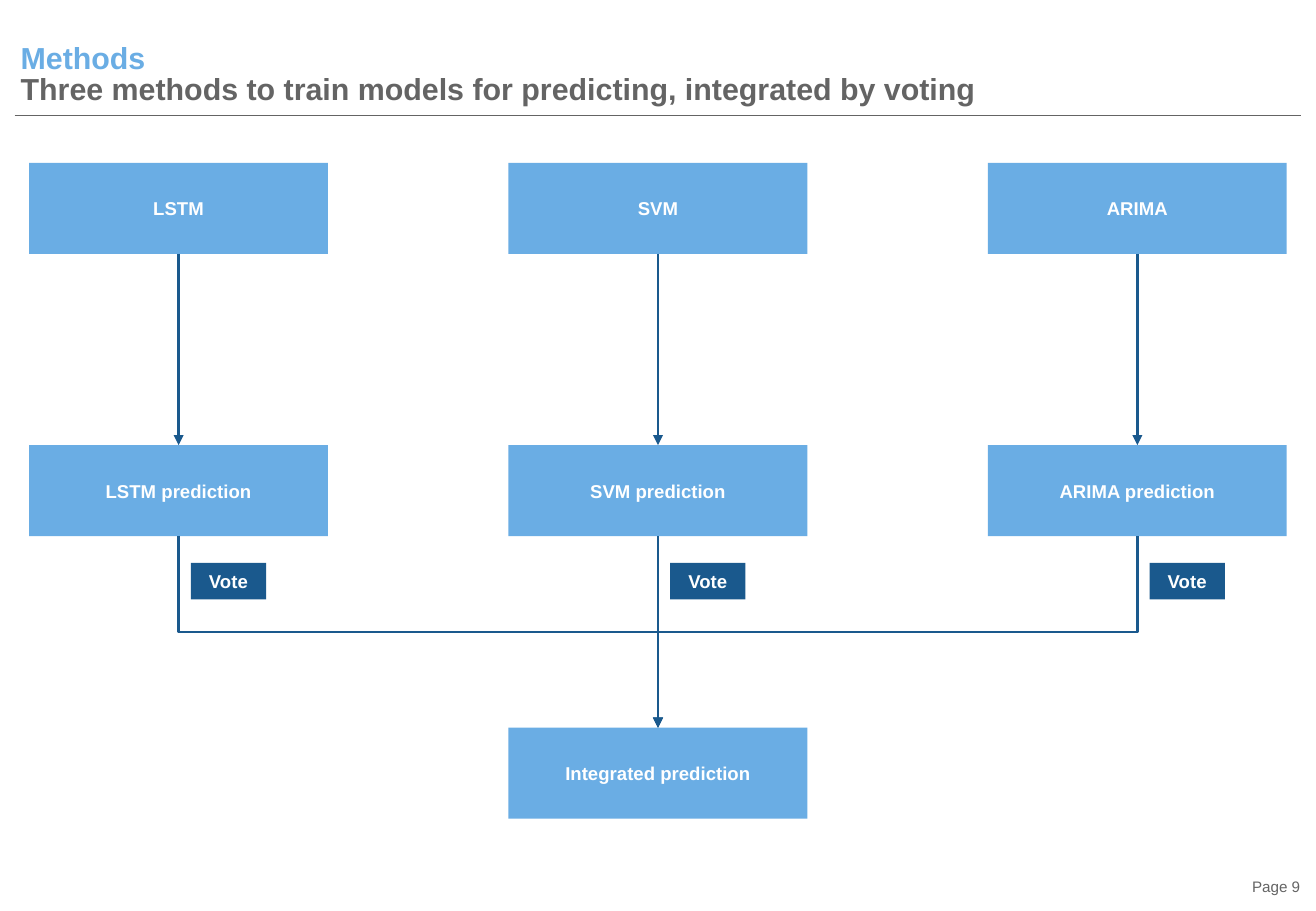
from lxml import etree
from pptx import Presentation
from pptx.dml.color import RGBColor
from pptx.enum import shapes, text
from pptx.oxml import ns
from pptx.util import Inches, Pt

# Content
HEADING = ("Methods", "Three methods to train models for predicting, integrated by voting")
METHODS = ["LSTM", "SVM", "ARIMA"]
RESULT = "Integrated prediction"
VOTE = "Vote"
PAGE = "Page 9"

FONT = "Arial"
SKY = RGBColor(0x6A, 0xAD, 0xE4)
NAVY = RGBColor(0x1A, 0x59, 0x8D)
GREY = RGBColor(0x64, 0x64, 0x64)
WHITE = RGBColor(0xFF, 0xFF, 0xFF)

# Grid, in inches
WIDTH, HEIGHT = 10.83, 7.5
LEFT, TOP = 0.24, 1.34
COLUMN, ROW = 3.945, 2.325
BOX_W, BOX_H = 2.46, 0.75
VOTE_W, VOTE_H = 0.62, 0.3
VOTE_DX, VOTE_DY = 0.1, 0.22
MARGIN = 0.12

deck = Presentation()
deck.slide_width, deck.slide_height = Inches(WIDTH), Inches(HEIGHT)
slide = deck.slides.add_slide(deck.slide_layouts[5])


def style(paragraph, size, color, bold, align):
    paragraph.alignment = align
    font = paragraph.font
    font.name, font.size, font.bold = FONT, Pt(size), bold
    font.color.rgb = color


def set_frame(frame, anchor, left=0, top=0, right=0, bottom=0):
    frame.word_wrap = True
    frame.auto_size = text.MSO_AUTO_SIZE.NONE
    frame.vertical_anchor = anchor
    frame.margin_left, frame.margin_top = Inches(left), Inches(top)
    frame.margin_right, frame.margin_bottom = Inches(right), Inches(bottom)


def add_box(label, x, y, w, h, fill, inset):
    box = slide.shapes.add_shape(shapes.MSO_SHAPE.RECTANGLE,
                                 Inches(x), Inches(y), Inches(w), Inches(h))
    box.shadow.inherit = False
    box.fill.solid()
    box.fill.fore_color.rgb = fill
    box.line.fill.background()
    set_frame(box.text_frame, text.MSO_ANCHOR.MIDDLE, inset, 0.05, inset, 0.05)
    box.text_frame.text = label
    style(box.text_frame.paragraphs[0], 11, WHITE, True, text.PP_ALIGN.CENTER)
    return box


def add_step(label, column, row):
    return add_box(label, LEFT + column * COLUMN, TOP + row * ROW, BOX_W, BOX_H, SKY, 0.05)


def add_line(kind, x1, y1, x2, y2, color, width, arrow=True):
    line = slide.shapes.add_connector(kind, Inches(x1), Inches(y1), Inches(x2), Inches(y2))
    line.line.color.rgb = color
    line.line.width = Pt(width)
    if arrow:
        etree.SubElement(line.line._get_or_add_ln(), ns.qn("a:tailEnd"), type="triangle")
    etree.SubElement(line._element.spPr, ns.qn("a:effectLst"))
    return line


def add_arrow(start, end):
    arrow = add_line(shapes.MSO_CONNECTOR.STRAIGHT, 0, 0, 1, 1, NAVY, 1.5)
    arrow.begin_connect(start, 2)
    arrow.end_connect(end, 0)


def add_merge(start_x, end_x, y1, y2):
    """Elbow that leaves downwards: laid out sideways, then turned a quarter."""
    side = 1 if start_x > end_x else -1
    mid_x, mid_y = (start_x + end_x) / 2, (y1 + y2) / 2
    half_drop, half_run = (y2 - y1) / 2, abs(start_x - end_x) / 2
    elbow = add_line(shapes.MSO_CONNECTOR.ELBOW,
                     mid_x - side * half_drop, mid_y - half_run,
                     mid_x + side * half_drop, mid_y + half_run, NAVY, 1.5)
    elbow._element.spPr.xfrm.set("rot", str(side * 90 % 360 * 60000))


# Title, rule and page number
title = slide.shapes.title
title.left, title.top = Inches(MARGIN), Inches(0.01)
title.width, title.height = Inches(WIDTH - 2 * MARGIN), Inches(0.87)
set_frame(title.text_frame, text.MSO_ANCHOR.BOTTOM, left=0.05)
heading = title.text_frame.paragraphs[0]
style(heading, 18, GREY, True, text.PP_ALIGN.LEFT)
heading.line_spacing = 0.85
topic = heading.add_run()
topic.text = HEADING[0]
topic.font.color.rgb = SKY
heading.add_line_break()
heading.add_run().text = HEADING[1]

add_line(shapes.MSO_CONNECTOR.STRAIGHT, MARGIN, 0.95, WIDTH - MARGIN, 0.95, GREY, 0.75, arrow=False)

page = slide.shapes.add_textbox(Inches(8.16), Inches(7.19), Inches(2.54), Inches(0.22))
set_frame(page.text_frame, text.MSO_ANCHOR.MIDDLE)
page.text_frame.text = PAGE
style(page.text_frame.paragraphs[0], 9, GREY, False, text.PP_ALIGN.RIGHT)

# Methods, their predictions and the votes that join them
middle = len(METHODS) // 2
result = add_step(RESULT, middle, 2)
centers = [LEFT + i * COLUMN + BOX_W / 2 for i in range(len(METHODS))]
vote_top = TOP + ROW + BOX_H
for i, method in enumerate(METHODS):
    model = add_step(method, i, 0)
    prediction = add_step(f"{method} prediction", i, 1)
    add_arrow(model, prediction)
    if i == middle:
        add_arrow(prediction, result)
    else:
        add_merge(centers[i], centers[middle], vote_top, TOP + 2 * ROW)
    add_box(VOTE, centers[i] + VOTE_DX, vote_top + VOTE_DY, VOTE_W, VOTE_H, NAVY, 0.1)

deck.save("out.pptx")
